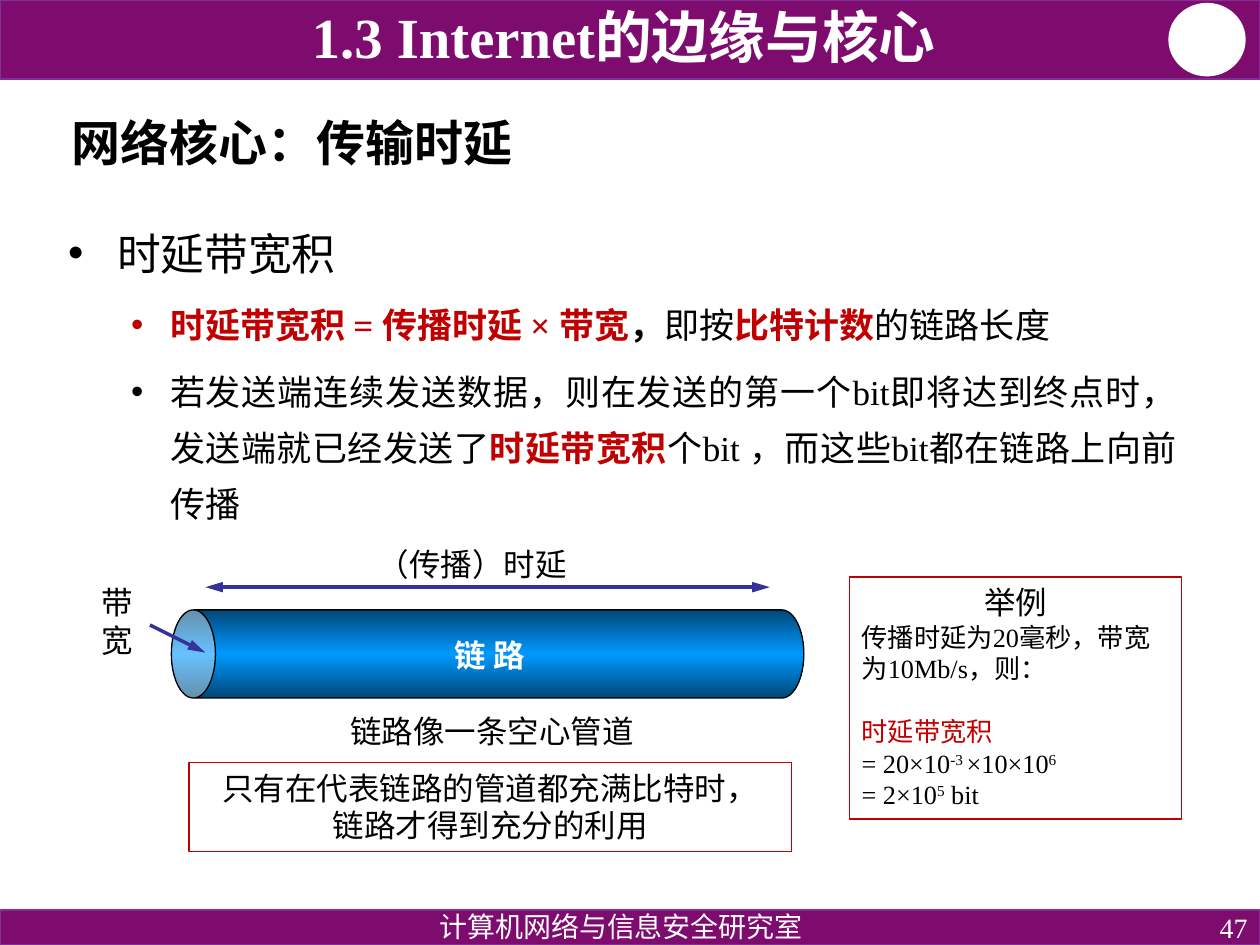
from dataclasses import dataclass
from typing import Optional

from lxml.etree import SubElement
from pptx import Presentation
from pptx.dml.color import RGBColor
from pptx.enum.shapes import MSO_CONNECTOR, MSO_SHAPE
from pptx.enum.text import MSO_ANCHOR as Anchor, MSO_AUTO_SIZE, PP_ALIGN as Align
from pptx.oxml.ns import qn
from pptx.util import Inches, Pt

SERIF, SANS = "Times New Roman", "Noto Sans CJK SC"
BLACK, WHITE, RED = "000000", "FFFFFF", "C00000"
PURPLE, PURPLE_EDGE, ARROW_BLUE = "7E0C6E", "7F2F95", "333399"


@dataclass
class Span:
    text: str
    color: Optional[str] = None
    bold: Optional[bool] = None
    superscript: bool = False


@dataclass
class Line:
    spans: list[Span]
    size: float = 18
    font: str = SANS
    color: str = BLACK
    bold: bool = False
    align: Align = Align.LEFT
    spacing: Optional[float] = 1.0
    before: float = 0
    level: int = 0
    bullet_indent: Optional[tuple[float, float]] = None


@dataclass
class Label:
    box: tuple[float, float, float, float]
    lines: list[Line]
    anchor: Anchor = Anchor.TOP
    outline: Optional[str] = None


def rgb(color: str) -> RGBColor:
    return RGBColor.from_string(color)


def place(shape, box: tuple[float, float, float, float]) -> None:
    shape.left, shape.top, shape.width, shape.height = map(Inches, box)


def write_line(paragraph, line: Line) -> None:
    paragraph.level = line.level
    paragraph.alignment = line.align
    paragraph.line_spacing = line.spacing
    paragraph.space_before = Pt(line.before)
    if line.bullet_indent:
        margin, hanging = line.bullet_indent
        properties = paragraph._p.get_or_add_pPr()
        properties.set("marL", str(Inches(margin)))
        properties.set("indent", str(-Inches(hanging)))
        SubElement(properties, qn("a:buFont"), typeface="Arial")
        SubElement(properties, qn("a:buChar"), char="•")
    font = paragraph.font
    font.name, font.size, font.bold = line.font, Pt(line.size), line.bold
    font.color.rgb = rgb(line.color)
    for span in line.spans:
        run = paragraph.add_run()
        run.text = span.text
        if span.color:
            run.font.color.rgb = rgb(span.color)
        if span.bold is not None:
            run.font.bold = span.bold
        if span.superscript:
            run._r.get_or_add_rPr().set("baseline", "30000")


def write_text(shape, lines: list[Line], anchor: Anchor = Anchor.TOP) -> None:
    frame = shape.text_frame
    frame.word_wrap = True
    frame.auto_size = MSO_AUTO_SIZE.NONE
    frame.vertical_anchor = anchor
    for index, line in enumerate(lines):
        write_line(frame.add_paragraph() if index else frame.paragraphs[0], line)


def add_label(slide, label: Label) -> None:
    shape = slide.shapes.add_textbox(*map(Inches, label.box))
    if label.outline:
        shape.line.color.rgb = rgb(label.outline)
        shape.line.width = Pt(0.75)
    write_text(shape, label.lines, label.anchor)


def add_plain_shape(slide, kind, box, fill: str, line: str):
    shape = slide.shapes.add_shape(kind, *map(Inches, box))
    shape.shadow.inherit = False
    shape.fill.solid()
    shape.fill.fore_color.rgb = rgb(fill)
    shape.line.color.rgb = rgb(line)
    shape.line.width = Pt(1)
    return shape


def add_pipe(slide, center: tuple[float, float], length: float, thickness: float) -> None:
    """Draw a lying cylinder, shaded dark to bright to dark across it."""
    x, y = center
    box = (x - thickness / 2, y - length / 2, thickness, length)
    pipe = add_plain_shape(slide, MSO_SHAPE.CAN, box, "0099FF", BLACK)
    pipe.rotation = 270
    pipe.adjustments[0] = 0.5
    pipe.line.width = Pt(0.75)
    pipe.fill.gradient()
    pipe.fill.gradient_angle = 0
    stops = pipe.fill._fill._gradFill.find(qn("a:gsLst"))
    for stop in list(stops):
        stops.remove(stop)
    for position, color in ((0, "004776"), (50, "0099FF"), (100, "004776")):
        stop = SubElement(stops, qn("a:gs"), pos=str(position * 1000))
        SubElement(stop, qn("a:srgbClr"), val=color)


def add_arrow(slide, start, end, both_ends: bool = False) -> None:
    arrow = slide.shapes.add_connector(
        MSO_CONNECTOR.STRAIGHT, *map(Inches, (*start, *end)))
    arrow.line.color.rgb = rgb(ARROW_BLUE)
    arrow.line.width = Pt(2)
    outline = arrow.line._get_or_add_ln()
    for tag in ("a:headEnd", "a:tailEnd") if both_ends else ("a:tailEnd",):
        SubElement(outline, qn(tag), type="triangle", w="med", len="lg")
    SubElement(arrow._element.spPr, qn("a:effectLst"))


def body_line(spans: list[Span], before: float = 6) -> Line:
    return Line(spans, 20, SERIF, align=Align.JUSTIFY, spacing=Pt(32), before=before,
                level=1, bullet_indent=(0.81, 0.31))


def example_line(spans: list[Span], before: float = 0) -> Line:
    return Line(spans, 15, SERIF, before=before)


def key(text: str) -> Span:
    return Span(text, RED, True)


BODY = [
    Line([Span("时延带宽积")], 25, SERIF, align=Align.JUSTIFY, spacing=Pt(32),
         bullet_indent=(0.39, 0.39)),
    body_line([key("时延带宽积 = 传播时延 × 带宽"), Span("，", bold=True), Span("即按"),
               key("比特计数"), Span("的链路长度")]),
    body_line([Span("若发送端连续发送数据，则在发送的第一个bit即将达到终点时，发送端就已经发送了"),
               key("时延带宽积"), Span("个bit ，而这些bit都在链路上向前传播")]),
]

BAND_LABELS = [
    Label((7.75, 7.22, 2.25, 0.28),
          [Line([Span("47")], 16, SERIF, WHITE, align=Align.RIGHT)], Anchor.MIDDLE),
    Label((2.69, 7.2, 4.48, 0.28),
          [Line([Span("计算机网络与信息安全研究室")], 16, SERIF, WHITE,
                align=Align.CENTER, spacing=0.9)]),
    Label((0.67, 0.04, 8.56, 0.56),
          [Line([Span("1.3 Internet的边缘与核心")], 32.4, SERIF, WHITE, True,
                Align.CENTER, 0.8)], Anchor.BOTTOM),
]

DIAGRAM_LABELS = [
    Label((2.9, 4.28, 2.13, 0.4), [Line([Span("（传播）时延")])]),
    Label((3.51, 5, 0.93, 0.4), [Line([Span("链 路")], color=WHITE, bold=True)]),
    Label((0.71, 4.58, 0.57, 0.71), [Line([Span("带宽")])]),
    Label((2.33, 5.6, 3.15, 0.4), [Line([Span("链路像一条空心管道")], align=Align.CENTER)]),
    Label((6.74, 4.58, 2.64, 1.92), [
        Line([Span("举例")], font=SERIF, align=Align.CENTER),
        example_line([Span("传播时延为20毫秒，带宽为10Mb/s，则：")]),
        example_line([Span("时延带宽积", RED)], before=18),
        example_line([Span("= 20×10"), Span("-3 ", superscript=True), Span("×10×10"),
                      Span("6", superscript=True)]),
        example_line([Span("= 2×10"), Span("5", superscript=True), Span(" bit")]),
    ], outline=RED),
    Label((1.5, 6.05, 4.78, 0.71),
          [Line([Span(text)], align=Align.CENTER)
           for text in ("只有在代表链路的管道都充满比特时，", "链路才得到充分的利用")],
          outline=RED),
]


def main() -> None:
    presentation = Presentation()
    presentation.slide_width, presentation.slide_height = Inches(10), Inches(7.5)
    slide = presentation.slides.add_slide(presentation.slide_layouts[1])

    for top, height in ((0, 0.63), (7.22, 0.28)):
        add_plain_shape(slide, MSO_SHAPE.RECTANGLE, (0, top, 10, height),
                        PURPLE, PURPLE_EDGE)
    add_plain_shape(slide, MSO_SHAPE.OVAL, (9.28, 0.03, 0.6, 0.57), WHITE, WHITE)
    for label in BAND_LABELS:
        add_label(slide, label)

    title, body = slide.shapes.title, slide.placeholders[1]
    place(title, (0.47, 0.73, 8.97, 0.85))
    write_text(title, [Line([Span("网络核心：传输时延")], 28, SERIF, bold=True, spacing=0.9)],
               Anchor.MIDDLE)
    place(body, (0.44, 1.72, 9, 2.46))
    write_text(body, BODY)

    add_pipe(slide, center=(3.87, 5.19), length=5.02, thickness=0.7)
    add_arrow(slide, (1.63, 4.66), (6.11, 4.66), both_ends=True)
    add_arrow(slide, (1.19, 4.96), (1.63, 5.18))
    for label in DIAGRAM_LABELS:
        add_label(slide, label)

    presentation.save("out.pptx")


if __name__ == "__main__":
    main()
